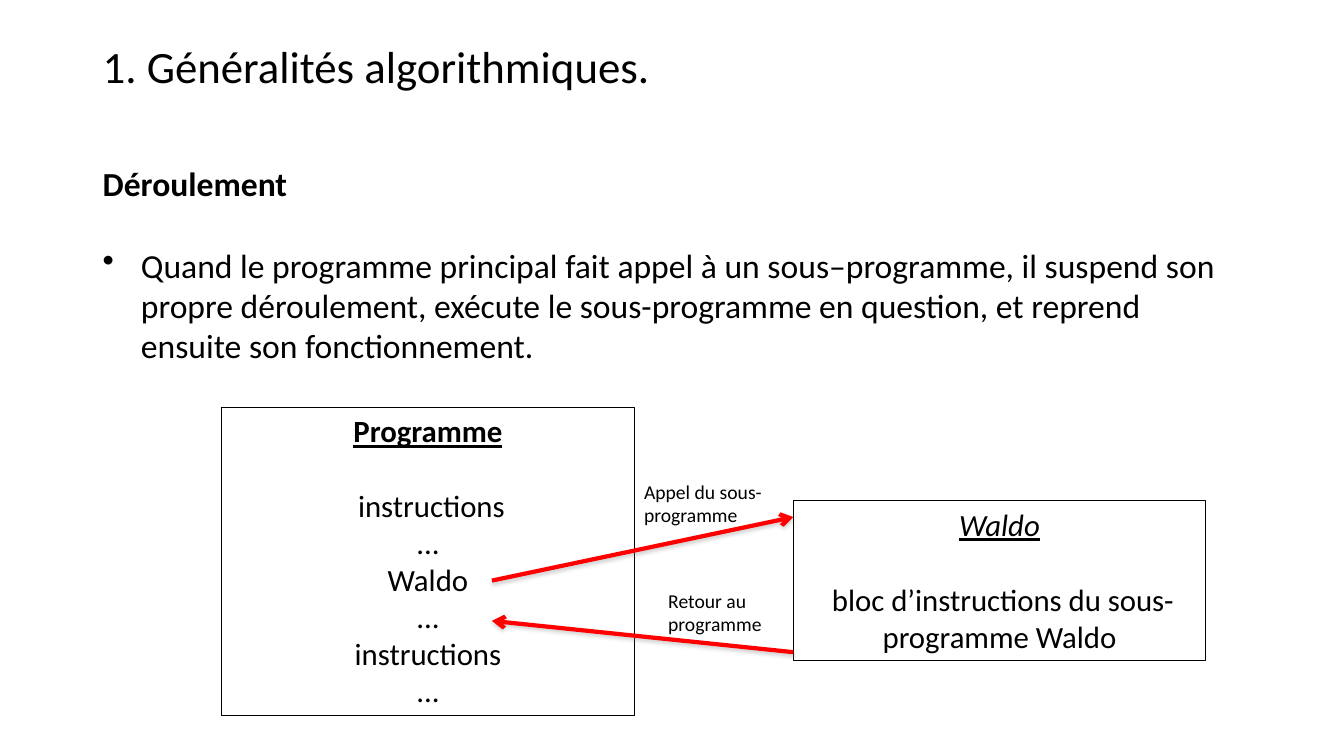
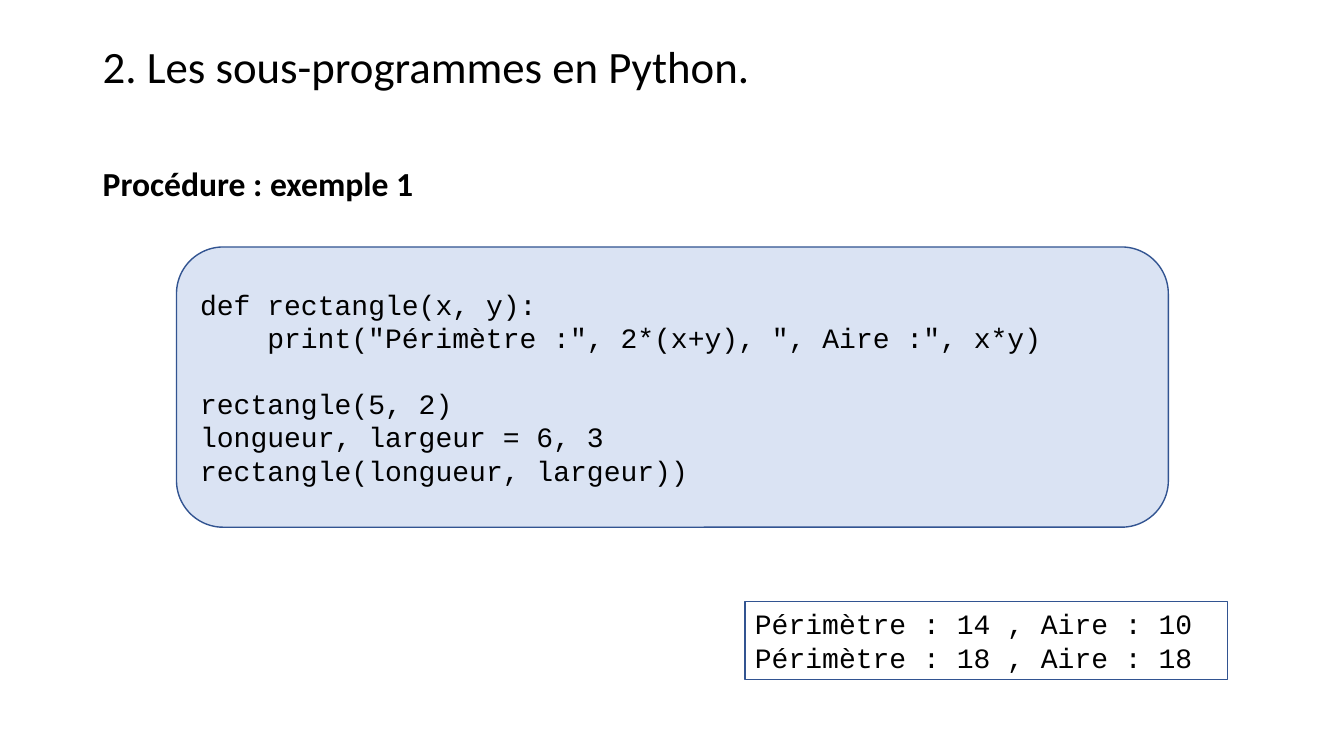
from dataclasses import dataclass
from typing import Optional

import lxml.etree
import pptx
import pptx.dml.color
import pptx.enum.shapes
import pptx.enum.text
import pptx.oxml.ns
import pptx.presentation
import pptx.shapes.autoshape
import pptx.slide
import pptx.text.text
import pptx.util

Align = pptx.enum.text.PP_ALIGN
Anchor = pptx.enum.text.MSO_ANCHOR
Preset = pptx.enum.shapes.MSO_SHAPE
qn = pptx.oxml.ns.qn


@dataclass(frozen=True)
class Theme:
    ink: str = "000000"
    arrow: str = "FF0000"
    shadow: str = "808080"
    code_fill: str = "DAE3F3"
    code_line: str = "325491"
    prose: str = "Calibri"
    mono: str = "Courier New"
    title_size: int = 32
    body_size: int = 24
    diagram_size: int = 22
    code_size: int = 20
    label_size: int = 14
    prose_leading: float = 1.22
    mono_leading: float = 1.13
    mono_advance: float = 0.6
    hanging: float = 0.38


THEME = Theme()
WIDTH = pptx.util.Inches(13.33)
HEIGHT = pptx.util.Inches(7.5)


@dataclass(frozen=True)
class Area:
    """Position and size in percent of the slide."""

    left: float
    top: float
    width: float
    height: float

    @property
    def right(self) -> float:
        return self.left + self.width


@dataclass(frozen=True)
class Line:
    text: str
    bold: bool = False
    italic: bool = False
    underline: bool = False
    bullet: bool = False
    gap_before: bool = False
    indent_chars: int = 0


@dataclass(frozen=True)
class Style:
    size: int
    font: str = THEME.prose
    align: Align = Align.LEFT
    anchor: Anchor = Anchor.TOP
    spacing: float = 1.0


@dataclass(frozen=True)
class Frame:
    line: str
    weight: float = 0.75
    fill: Optional[str] = None
    preset: Preset = Preset.RECTANGLE


@dataclass(frozen=True)
class Panel:
    area: Area
    lines: tuple[Line, ...]
    style: Style
    frame: Optional[Frame] = None


@dataclass(frozen=True)
class Arrow:
    start: tuple[float, float]
    end: tuple[float, float]


TITLE = Style(THEME.title_size, spacing=0.9)
BODY = Style(THEME.body_size)
DIAGRAM = Style(THEME.diagram_size, align=Align.CENTER)
LABEL = Style(THEME.label_size)
CODE = Style(THEME.code_size, THEME.mono, anchor=Anchor.MIDDLE)
OUTPUT = Style(THEME.code_size, THEME.mono)

BLACK_FRAME = Frame(THEME.ink)
CODE_FRAME = Frame(THEME.code_line, 1, THEME.code_fill, Preset.ROUNDED_RECTANGLE)
OUTPUT_FRAME = Frame(THEME.code_line)

MARGIN, CONTENT_WIDTH, BODY_TOP = 6.9, 86.25, 20.93
TITLE_AREA = Area(MARGIN, 5.33, CONTENT_WIDTH, 8.4)


def across(percent: float) -> int:
    return round(WIDTH * percent / 100)


def down(percent: float) -> int:
    return round(HEIGHT * percent / 100)


def rgb(value: str) -> pptx.dml.color.RGBColor:
    return pptx.dml.color.RGBColor.from_string(value)


def write_line(paragraph: pptx.text.text._Paragraph, line: Line, style: Style) -> None:
    paragraph.text = line.text
    paragraph.alignment = style.align
    paragraph.line_spacing = style.spacing
    font = paragraph.font
    font.name, font.size = style.font, pptx.util.Pt(style.size)
    font.color.rgb = rgb(THEME.ink)
    font.bold, font.italic, font.underline = line.bold, line.italic, line.underline
    if line.gap_before:
        mono = style.font == THEME.mono
        leading = THEME.mono_leading if mono else THEME.prose_leading
        paragraph.space_before = pptx.util.Pt(style.size * leading)
    properties = paragraph._p.get_or_add_pPr()
    if line.indent_chars:
        indent = line.indent_chars * THEME.mono_advance * style.size
        properties.set("marL", str(pptx.util.Pt(indent)))
    if line.bullet:
        hanging = pptx.util.Inches(THEME.hanging)
        properties.set("marL", str(hanging))
        properties.set("indent", str(-hanging))
        bullet = lxml.etree.Element(qn("a:buChar"), char="•")
        properties.find(qn("a:defRPr")).addprevious(bullet)


def apply_frame(shape: pptx.shapes.autoshape.Shape, frame: Frame) -> None:
    shape.shadow.inherit = False
    shape.line.color.rgb = rgb(frame.line)
    shape.line.width = pptx.util.Pt(frame.weight)
    if frame.fill:
        shape.fill.solid()
        shape.fill.fore_color.rgb = rgb(frame.fill)
    else:
        shape.fill.background()


def draw_panel(slide: pptx.slide.Slide, panel: Panel) -> None:
    area = panel.area
    box = across(area.left), down(area.top), across(area.width), down(area.height)
    if panel.frame:
        shape = slide.shapes.add_shape(panel.frame.preset, *box)
        apply_frame(shape, panel.frame)
    else:
        shape = slide.shapes.add_textbox(*box)
    text = shape.text_frame
    text.word_wrap = True
    text.vertical_anchor = panel.style.anchor
    for index, line in enumerate(panel.lines):
        paragraph = text.add_paragraph() if index else text.paragraphs[0]
        write_line(paragraph, line, panel.style)


def draw_arrow(slide: pptx.slide.Slide, arrow: Arrow) -> None:
    (x1, y1), (x2, y2) = arrow.start, arrow.end
    connector = slide.shapes.add_connector(
        pptx.enum.shapes.MSO_CONNECTOR.STRAIGHT, across(x1), down(y1), across(x2), down(y2)
    )
    connector.line.color.rgb = rgb(THEME.arrow)
    connector.line.width = pptx.util.Pt(3)
    properties = connector._element.spPr
    lxml.etree.SubElement(properties.find(qn("a:ln")), qn("a:tailEnd"), type="arrow")
    effects = lxml.etree.SubElement(properties, qn("a:effectLst"))
    shadow = lxml.etree.SubElement(
        effects,
        qn("a:outerShdw"),
        blurRad=str(pptx.util.Pt(3.1)),
        dist=str(pptx.util.Pt(1.6)),
        dir="5400000",
        rotWithShape="0",
    )
    tint = lxml.etree.SubElement(shadow, qn("a:srgbClr"), val=THEME.shadow)
    lxml.etree.SubElement(tint, qn("a:alpha"), val="38000")


def add_slide(
    deck: pptx.presentation.Presentation,
    title: str,
    panels: tuple[Panel, ...],
    arrows: tuple[Arrow, ...] = (),
) -> None:
    slide = deck.slides.add_slide(deck.slide_layouts[6])
    for panel in (Panel(TITLE_AREA, (Line(title),), TITLE), *panels):
        draw_panel(slide, panel)
    for arrow in arrows:
        draw_arrow(slide, arrow)


def add_call_flow(deck: pptx.presentation.Presentation) -> None:
    programme = Area(16.5, 53.87, 30.68, 40.8)
    waldo = Area(59.03, 66.27, programme.width, 21.07)
    call_x = 36.6
    explanation = (
        Line("Déroulement", bold=True),
        Line(
            "Quand le programme principal fait appel à un sous–programme, il suspend son "
            "propre déroulement, exécute le sous-programme en question, et reprend "
            "ensuite son fonctionnement.",
            bullet=True,
            gap_before=True,
        ),
    )
    programme_lines = (
        Line("Programme", bold=True, underline=True),
        Line(" instructions", gap_before=True),
        *map(Line, ("...", "Waldo", "...", "instructions", "...")),
    )
    waldo_lines = (
        Line("Waldo", italic=True, underline=True),
        Line(" bloc d’instructions du sous-programme Waldo", gap_before=True),
    )
    panels = (
        Panel(Area(MARGIN, BODY_TOP, CONTENT_WIDTH, 28.27), explanation, BODY),
        Panel(programme, programme_lines, DIAGRAM, BLACK_FRAME),
        Panel(waldo, waldo_lines, DIAGRAM, BLACK_FRAME),
        Panel(Area(programme.right, 62.8, 11.25, 7.6), (Line("Appel du sous-programme"),), LABEL),
        Panel(Area(48.98, 77.2, 8.85, 7.6), (Line("Retour au programme"),), LABEL),
    )
    arrows = (
        Arrow((call_x, 76.8), (waldo.left, 68.4)),
        Arrow((waldo.left, 86.27), (call_x, 82.13)),
    )
    add_slide(deck, "1. Généralités algorithmiques.", panels, arrows)


def add_procedure_example(deck: pptx.presentation.Presentation) -> None:
    code = (
        Line("def rectangle(x, y):"),
        Line('print("Périmètre :", 2*(x+y), ", Aire :", x*y)', indent_chars=4),
        Line("rectangle(5, 2)", gap_before=True),
        Line("longueur, largeur = 6, 3"),
        Line("rectangle(longueur, largeur))"),
    )
    output = (Line("Périmètre : 14 , Aire : 10"), Line("Périmètre : 18 , Aire : 18"))
    heading = (Line("Procédure : exemple 1", bold=True),)
    panels = (
        Panel(Area(MARGIN, BODY_TOP, CONTENT_WIDTH, 6.67), heading, BODY),
        Panel(Area(13.13, 32.67, 73.8, 37.07), code, CODE, CODE_FRAME),
        Panel(Area(55.43, 79.6, 35.93, 10.27), output, OUTPUT, OUTPUT_FRAME),
    )
    add_slide(deck, "2. Les sous-programmes en Python.", panels)


def main() -> None:
    deck = pptx.Presentation()
    deck.slide_width, deck.slide_height = WIDTH, HEIGHT
    add_call_flow(deck)
    add_procedure_example(deck)
    deck.save("out.pptx")


if __name__ == "__main__":
    main()
